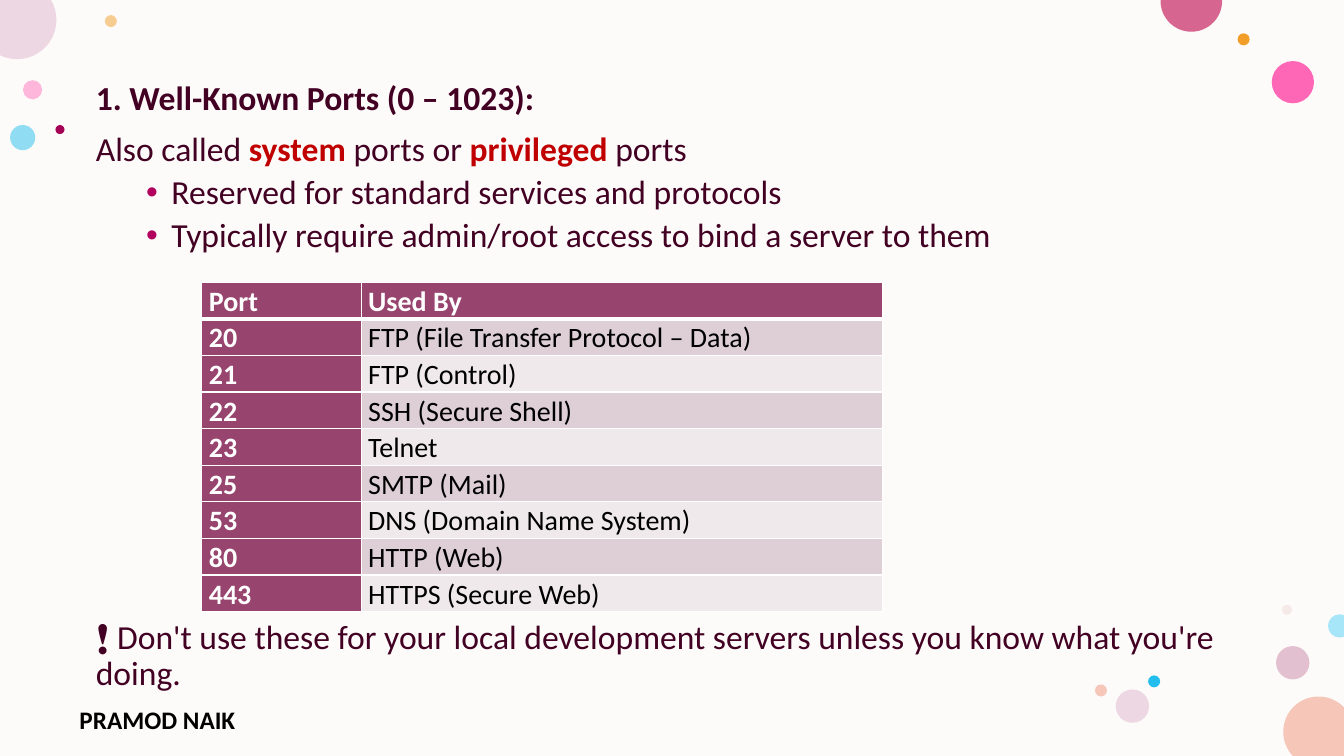
from dataclasses import dataclass
from math import cos, radians, sin, tan

from lxml import etree
from pptx import Presentation
from pptx.dml.color import RGBColor
from pptx.enum.shapes import MSO_SHAPE
from pptx.enum.text import MSO_ANCHOR
from pptx.oxml.ns import qn
from pptx.util import Pt

OVAL = MSO_SHAPE.OVAL
RECTANGLE = MSO_SHAPE.RECTANGLE
TOP = MSO_ANCHOR.TOP
SLIDE_WIDTH, SLIDE_HEIGHT = 960, 540


@dataclass(frozen=True)
class Theme:
    font: str = "Calibri"
    body_size: float = 24
    table_size: float = 20
    footer_size: float = 18
    background: str = "FDFBF9"
    text: str = "420023"
    accent: str = "C00000"
    bullet: str = "B1005E"
    black: str = "000000"
    white: str = "FFFFFF"
    header: str = "97446E"
    bands: tuple = ("DDCFD5", "EFE9EB")


THEME = Theme()

# left, top, diameter, colour, opacity in percent
BUBBLES = [
    (16.4, 57.3, 13.7, "FF75BD", 50),
    (74.9, 10.8, 8.6, "F39E29", 50),
    (911.5, 461.5, 23.8, "C987A8", 50),
    (7.2, 89.3, 18, "24BEEE", 50),
    (908.4, 43.6, 30.2, "FF2F9C", 72),
    (884, 23.8, 8.6, "F39E29", 100),
    (915.8, 432, 7.2, "E3BEBE", 28),
    (820.1, 482.4, 8.6, "24BEEE", 100),
    (797, 492.5, 23.8, "EDD7E2", 100),
    (782.1, 488.9, 8.6, "F6C7B9", 100),
    (39.6, 89.3, 6.5, "A40056", 100),
]
# centre x, centre y, radius, first and last angle, slide corners, colour
EDGE_BUBBLES = [
    (941.8, 522.7, 25.2, 136.65, 316.2, [(960, 540)], "F6C7B9"),
    (12.2, 14.2, 28.1, -30.35, 115.7, [(0, 0)], "EDD7E2"),
    (851, 0.7, 22, -1.8, 181.8, [], "D6658F"),
    (956.9, 447.1, 8.3, 68.1, 291.9, [], "A7E5F8"),
]

# level, space before, runs of (text, colour, bold)
INTRO = [
    (0, 0, [("1. Well-Known Ports (0 – 1023):", THEME.text, True)]),
    (0, 10, [("Also called ", THEME.text, False),
             ("system", THEME.accent, True),
             (" ports or ", THEME.text, False),
             ("privileged", THEME.accent, True),
             (" ports", THEME.text, False)]),
    (1, 5, [("Reserved for standard services and protocols", THEME.text, False)]),
    (1, 5, [("Typically require admin/root access to bind a server to them",
             THEME.text, False)]),
]
WARNING = [
    (0, 0, [("❗ Don't use these for your local development servers unless "
             "you know what you're doing.", THEME.text, False)]),
]
PORTS = [
    ("Port", "Used By"),
    ("20", "FTP (File Transfer Protocol – Data)"),
    ("21", "FTP (Control)"),
    ("22", "SSH (Secure Shell)"),
    ("23", "Telnet"),
    ("25", "SMTP (Mail)"),
    ("53", "DNS (Domain Name System)"),
    ("80", "HTTP (Web)"),
    ("443", "HTTPS (Secure Web)"),
]


def add_run(paragraph, text, size, colour, bold):
    run = paragraph.add_run()
    run.text = text
    run.font.name = THEME.font
    run.font.size = Pt(size)
    run.font.bold = bold
    run.font.color.rgb = RGBColor.from_string(colour)


def add_text_box(slide, box):
    frame = slide.shapes.add_textbox(*map(Pt, box)).text_frame
    frame.word_wrap = True
    frame.vertical_anchor = TOP
    return frame


def paint(shape, colour, opacity=100):
    shape.shadow.inherit = False
    shape.line.fill.background()
    shape.fill.solid()
    shape.fill.fore_color.rgb = RGBColor.from_string(colour)
    if opacity < 100:
        fill_colour = shape._element.spPr.find(".//" + qn("a:srgbClr"))
        etree.SubElement(fill_colour, qn("a:alpha"), val=str(opacity * 1000))


def add_preset(slide, preset, box, colour, opacity=100):
    paint(slide.shapes.add_shape(preset, *map(Pt, box)), colour, opacity)


def add_edge_bubble(slide, x, y, radius, first, last, corners, colour):
    """Draw the part of a circle that stays on the slide, with curved sides."""
    turns = [turn for turn in range(-360, 361, 90) if first < turn < last]
    angles = [radians(angle) for angle in (first, *turns, last)]
    anchors = [(x + radius * cos(angle), y + radius * sin(angle))
               for angle in angles]
    points = [(Pt(px), Pt(py)) for px, py in anchors + corners]
    builder = slide.shapes.build_freeform(*points[0])
    builder.add_line_segments(points[1:], close=True)
    shape = builder.convert_to_shape()
    sides = list(shape._element.iter(qn("a:lnTo")))
    for index, side in enumerate(sides[:len(angles) - 1]):
        start, end = angles[index:index + 2]
        (x1, y1), (x2, y2) = anchors[index:index + 2]
        reach = 4 / 3 * tan((end - start) / 4) * radius
        controls = [(x1 - reach * sin(start), y1 + reach * cos(start)),
                    (x2 + reach * sin(end), y2 - reach * cos(end))]
        side.tag = qn("a:cubicBezTo")
        for position, (px, py) in enumerate(controls):
            side.insert(position, etree.Element(
                qn("a:pt"), x=str(Pt(px) - shape.left), y=str(Pt(py) - shape.top)))
    paint(shape, colour)


def add_backdrop(slide):
    add_preset(slide, RECTANGLE, (0, 0, SLIDE_WIDTH, SLIDE_HEIGHT),
               THEME.background)
    for left, top, diameter, colour, opacity in BUBBLES:
        add_preset(slide, OVAL, (left, top, diameter, diameter), colour, opacity)
    for bubble in EDGE_BUBBLES:
        add_edge_bubble(slide, *bubble)


def set_bullet(paragraph):
    properties = paragraph._p.get_or_add_pPr()
    properties.set("marL", str(Pt(54)))
    properties.set("indent", str(Pt(-18)))
    bullet_colour = etree.SubElement(properties, qn("a:buClr"))
    etree.SubElement(bullet_colour, qn("a:srgbClr"), val=THEME.bullet)
    etree.SubElement(properties, qn("a:buFont"), typeface="Arial")
    etree.SubElement(properties, qn("a:buChar"), char="•")


def add_body(slide, box, content):
    frame = add_text_box(slide, box)
    for index, (level, space_before, runs) in enumerate(content):
        paragraph = frame.add_paragraph() if index else frame.paragraphs[0]
        paragraph.level = level
        paragraph.line_spacing = 0.9
        paragraph.space_before = Pt(space_before)
        if level:
            set_bullet(paragraph)
        for text, colour, bold in runs:
            add_run(paragraph, text, THEME.body_size, colour, bold)


def set_borders(cell, top, bottom):
    properties = cell._tc.get_or_add_tcPr()
    sides = (("L", 1), ("R", 1), ("T", top), ("B", bottom))
    for index, (side, width) in enumerate(sides):
        line = etree.Element(qn("a:ln" + side), w=str(Pt(width)))
        fill = etree.SubElement(line, qn("a:solidFill"))
        etree.SubElement(fill, qn("a:srgbClr"), val=THEME.white)
        properties.insert(index, line)


def add_port_table(slide, box, rows):
    table = slide.shapes.add_table(len(rows), 2, *map(Pt, box)).table
    table.first_col = True
    port_width = 113.8
    table.columns[0].width = Pt(port_width)
    table.columns[1].width = Pt(box[2] - port_width)
    for row, texts in enumerate(rows):
        for column, text in enumerate(texts):
            cell = table.cell(row, column)
            heading = row == 0 or column == 0
            cell.margin_left = cell.margin_right = Pt(5)
            cell.margin_top = cell.margin_bottom = 0
            cell.fill.solid()
            cell.fill.fore_color.rgb = RGBColor.from_string(
                THEME.header if heading else THEME.bands[(row - 1) % 2])
            set_borders(cell, 3 if row == 1 else 1, 3 if row == 0 else 1)
            paragraph = cell.text_frame.paragraphs[0]
            paragraph.line_spacing = 1.07
            add_run(paragraph, text, THEME.table_size,
                    THEME.white if heading else THEME.black, heading)


def main():
    presentation = Presentation()
    presentation.slide_width = Pt(SLIDE_WIDTH)
    presentation.slide_height = Pt(SLIDE_HEIGHT)
    slide = presentation.slides.add_slide(presentation.slide_layouts[6])
    add_backdrop(slide)
    footer = add_text_box(slide, (49.7, 499.7, 176.4, 23))
    add_run(footer.paragraphs[0], "PRAMOD NAIK", THEME.footer_size, THEME.black, True)
    add_body(slide, (61.4, 54.9, 839.5, 135), INTRO)
    add_body(slide, (61.4, 439.6, 839.5, 60), WARNING)
    add_port_table(slide, (144.2, 201.6, 486, 235.4), PORTS)
    presentation.save("out.pptx")


if __name__ == "__main__":
    main()
